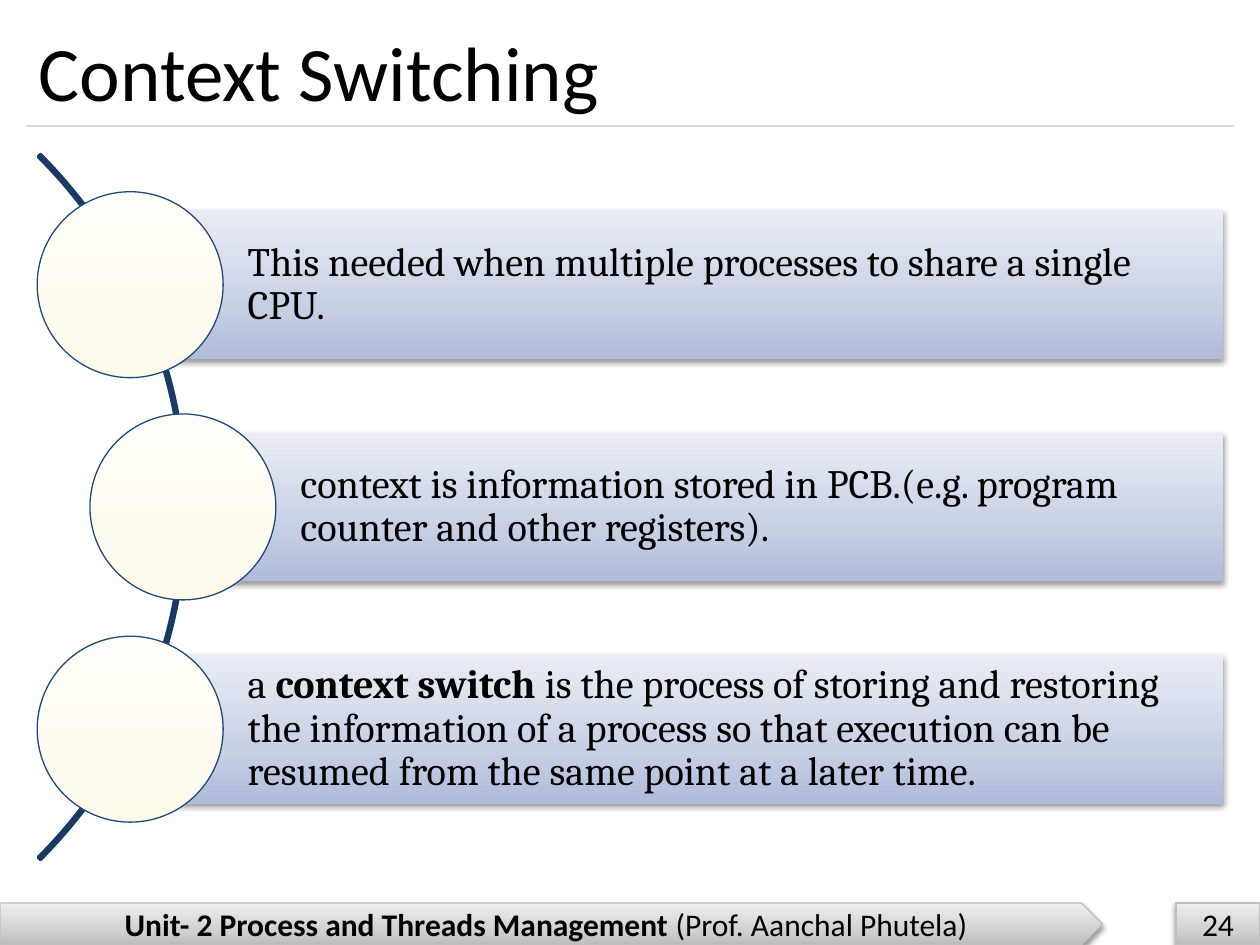
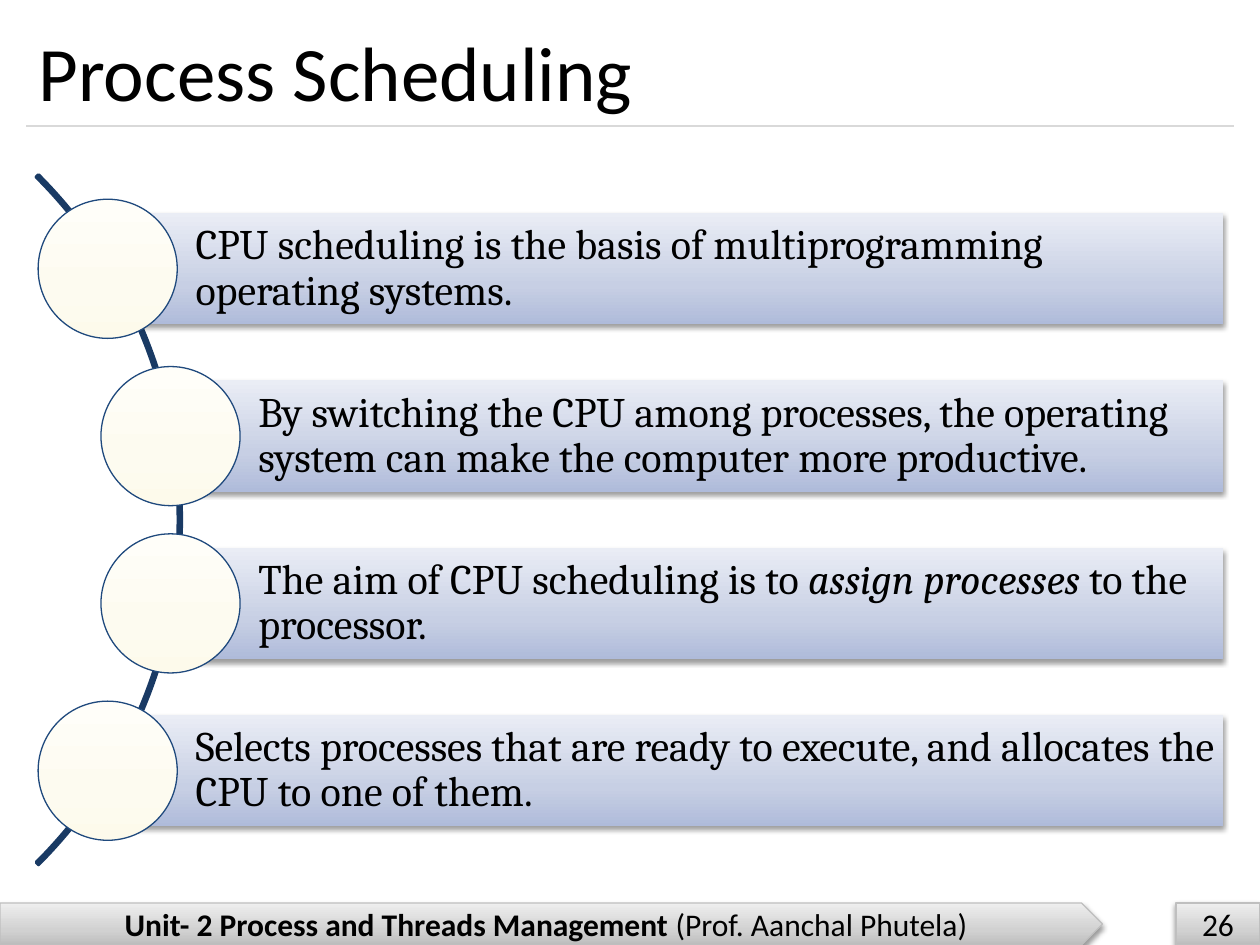
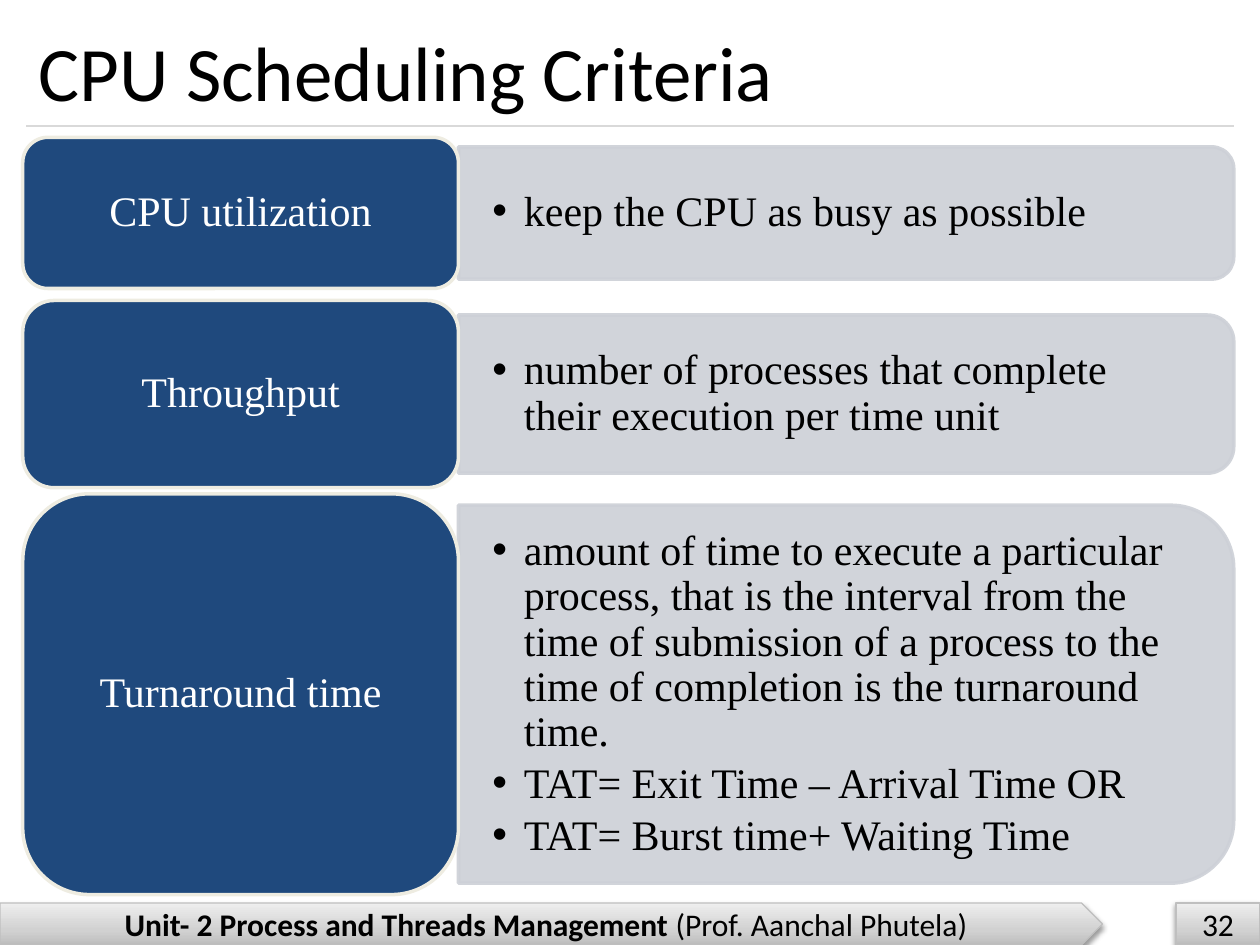
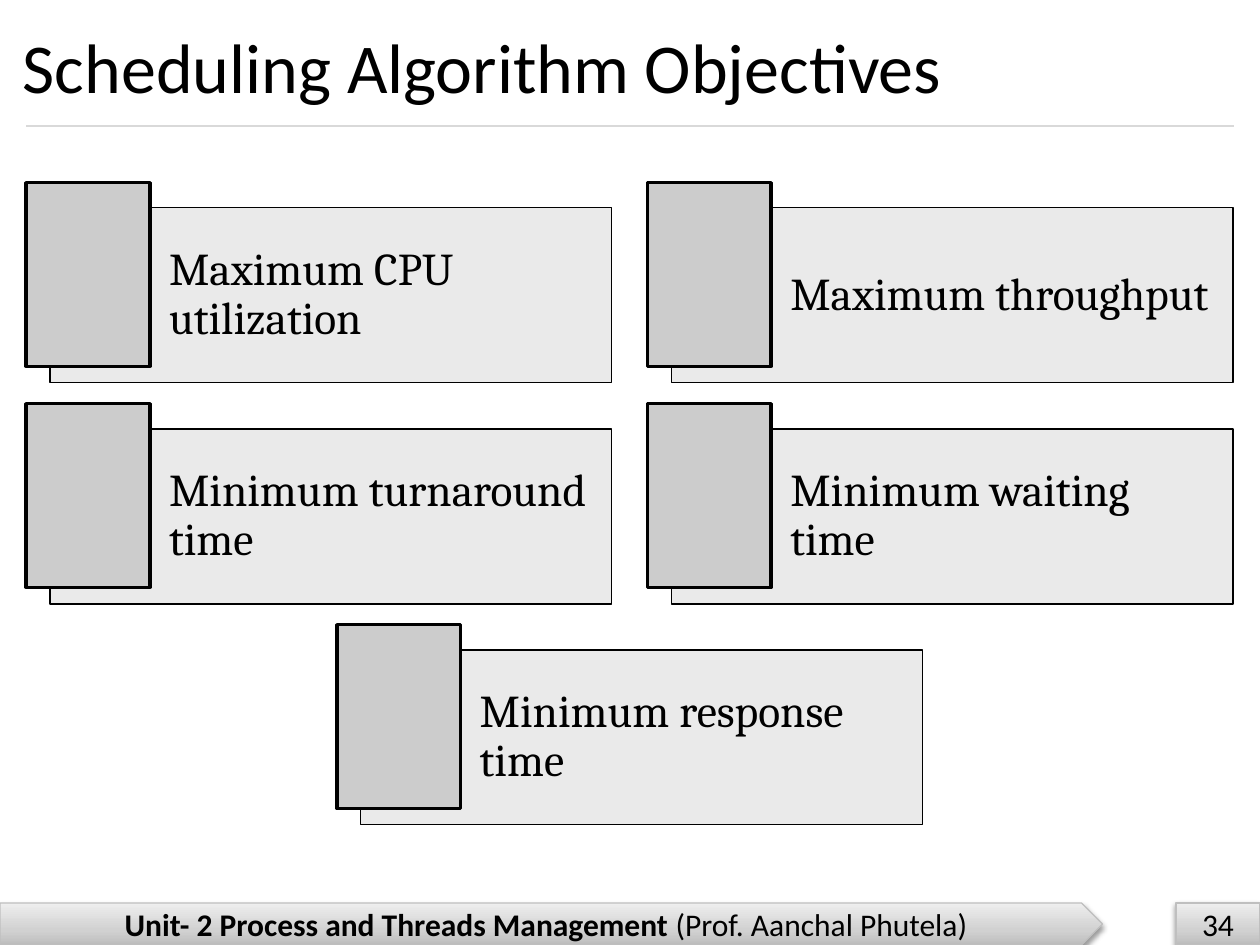
from copy import deepcopy
from dataclasses import dataclass
from math import sqrt

from lxml import etree
from pptx import Presentation
from pptx.dml.color import RGBColor
from pptx.enum.shapes import MSO_CONNECTOR, MSO_SHAPE
from pptx.enum.text import MSO_ANCHOR, PP_ALIGN
from pptx.oxml.ns import qn
from pptx.util import Pt

RECTANGLE = MSO_SHAPE.RECTANGLE
ROUNDED = MSO_SHAPE.ROUNDED_RECTANGLE
ROUNDED_TOP = MSO_SHAPE.ROUND_2_SAME_RECTANGLE
PENTAGON = MSO_SHAPE.PENTAGON
OVAL = MSO_SHAPE.OVAL
BLOCK_ARC = MSO_SHAPE.BLOCK_ARC
STRAIGHT = MSO_CONNECTOR.STRAIGHT
MIDDLE = MSO_ANCHOR.MIDDLE
LEFT = PP_ALIGN.LEFT
CENTER = PP_ALIGN.CENTER


@dataclass(frozen=True)
class Theme:
    black: str = "000000"
    white: str = "FFFFFF"
    navy: str = "1F497D"
    arc: str = "193A64"
    cream: str = "EEECE1"
    detail: str = "CDD0D7"
    gray: str = "CCCCCC"
    rule: str = "D9D9D9"
    footer_line: str = "BFBFBF"
    footer_fill: tuple = ("BDBDBD", "D1D1D1", "EEEEEE")
    bar_fill: tuple = ("AFBBDA", "C7CFE4", "EAEDF5")
    node_fill: tuple = ("FDFAEB", "FDFBF0", "FFFEF9")
    gradient_positions: tuple = (0, 0.35, 1)
    sans: str = "Calibri"
    serif: str = "Cambria"
    roman: str = "Times New Roman"
    title_size: int = 44
    long_title_size: int = 40
    footer_size: int = 18
    criteria_size: int = 24
    objective_size: int = 26
    thin: float = 0.75
    thick: float = 2


THEME = Theme()


@dataclass(frozen=True)
class Piece:
    text: str
    bold: bool = False
    italic: bool = False


@dataclass(frozen=True)
class ArcList:
    center_x: float
    center_y: float
    diameter: float
    pitch: float
    bar_height: float
    inset: float
    size: int


def color(value):
    return RGBColor.from_string(value)


def set_gradient(shape, colors):
    shape.fill.gradient()
    shape.fill.gradient_angle = 90
    stop_list = shape._element.spPr.find(qn("a:gradFill")).find(qn("a:gsLst"))
    stop_list.append(deepcopy(stop_list[0]))
    for stop, value, position in zip(shape.fill.gradient_stops, colors, THEME.gradient_positions):
        stop.color.rgb = color(value)
        stop.position = position


def set_alpha(part, percent):
    for element in part.iter(qn("a:srgbClr")):
        etree.SubElement(element, qn("a:alpha"), val=str(percent * 1000))


def add_shadow(shape):
    effects = shape._element.spPr.find(qn("a:effectLst"))
    shadow = etree.SubElement(effects, qn("a:outerShdw"), blurRad=str(Pt(3.1)),
                              dist=str(Pt(1.6)), dir="5400000", rotWithShape="0")
    black = etree.SubElement(shadow, qn("a:srgbClr"), val=THEME.black)
    etree.SubElement(black, qn("a:alpha"), val="38000")


def add_box(slide, kind, left, top, width, height, fill=None, line=None, line_width=THEME.thin):
    shape = slide.shapes.add_shape(kind, Pt(left), Pt(top), Pt(width), Pt(height))
    shape.shadow.inherit = False
    if fill is None:
        shape.fill.background()
    elif isinstance(fill, tuple):
        set_gradient(shape, fill)
    else:
        shape.fill.solid()
        shape.fill.fore_color.rgb = color(fill)
    if line is None:
        shape.line.fill.background()
    else:
        shape.line.color.rgb = color(line)
        shape.line.width = Pt(line_width)
    return shape


def add_text_area(slide, left, top, width, height):
    return slide.shapes.add_textbox(Pt(left), Pt(top), Pt(width), Pt(height))


def set_margins(shape, left, top, right, bottom):
    frame = shape.text_frame
    frame.margin_left, frame.margin_top = Pt(left), Pt(top)
    frame.margin_right, frame.margin_bottom = Pt(right), Pt(bottom)


def add_bullet(paragraph, indent=18):
    properties = paragraph._p.get_or_add_pPr()
    properties.set("marL", str(Pt(indent)))
    properties.set("indent", str(-Pt(indent)))
    etree.SubElement(properties, qn("a:buFont"), typeface="Arial")
    etree.SubElement(properties, qn("a:buChar"), char="•")


def write(shape, content, font, size, text_color=THEME.black, align=LEFT, spacing=None):
    frame = shape.text_frame
    frame.word_wrap = True
    frame.vertical_anchor = MIDDLE
    if isinstance(content, str):
        frame.text = content
    else:
        for piece in content:
            run = frame.paragraphs[0].add_run()
            run.text = piece.text
            run.font.bold = piece.bold
            run.font.italic = piece.italic
    for paragraph in frame.paragraphs:
        paragraph.alignment = align
        if spacing:
            paragraph.line_spacing = spacing
        for run in paragraph.runs:
            run.font.name = font
            run.font.size = Pt(size)
            run.font.color.rgb = color(text_color)


def add_footer_box(slide, kind, left, width, content):
    box = add_box(slide, kind, left, 516, width, 24, THEME.footer_fill, THEME.footer_line)
    add_shadow(box)
    write(box, content, THEME.sans, THEME.footer_size, align=CENTER)


def add_page(presentation, title, number, title_size=THEME.title_size, title_at=(15, 9)):
    slide = presentation.slides.add_slide(presentation.slide_layouts[6])
    add_footer_box(slide, PENTAGON, 0, 630, [
        Piece("Unit- 2 Process and Threads Management ", bold=True),
        Piece("(Prof. Aanchal Phutela)"),
    ])
    add_footer_box(slide, RECTANGLE, 672, 48, str(number))
    rule = slide.shapes.add_connector(STRAIGHT, Pt(15), Pt(72), Pt(705), Pt(72))
    rule.line.color.rgb = color(THEME.rule)
    rule.line.width = Pt(THEME.thin)
    etree.SubElement(rule._element.spPr, qn("a:effectLst"))
    write(add_text_area(slide, *title_at, 690, 63), title, THEME.sans, title_size)
    return slide


def add_arc_list(slide, design, items, right=699, band=1.7):
    radius = design.diameter / 2
    arc = add_box(slide, BLOCK_ARC, design.center_x - radius, design.center_y - radius,
                  design.diameter, design.diameter, line=THEME.arc, line_width=THEME.thick)
    for index, value in enumerate((189, 27, band / design.diameter)):
        arc.adjustments[index] = value
    height = design.bar_height
    node = height * 1.25
    for index, content in enumerate(items):
        offset = (index - (len(items) - 1) / 2) * design.pitch
        x = design.center_x + sqrt((radius - 2) ** 2 - offset ** 2)
        y = design.center_y + offset
        bar = add_box(slide, RECTANGLE, x, y - height / 2, right - x, height, THEME.bar_fill)
        add_shadow(bar)
        set_margins(bar, height * 0.79, design.inset, design.inset, design.inset)
        write(bar, content, THEME.serif, design.size, spacing=0.9)
        add_box(slide, OVAL, x - node / 2, y - node / 2, node, node, THEME.node_fill, THEME.navy)


def add_criterion(slide, label, details, top, height, detail_height):
    left, label_width, detail_width = 13, 249, 443
    middle = top + height / 2
    detail_left = left + label_width
    detail = add_box(slide, ROUNDED_TOP, detail_left + (detail_width - detail_height) / 2,
                     middle - detail_width / 2, detail_height, detail_width,
                     THEME.detail, THEME.detail, THEME.thick)
    detail.rotation = 90
    set_alpha(detail._element.spPr, 90)
    text_height = detail_height * 0.9
    area = add_text_area(slide, detail_left, middle - text_height / 2,
                         detail_width - detail_height * 0.05, text_height)
    set_margins(area, 19.4, 10, 19.4, 10)
    area.text_frame.text = "\n".join(details)
    for index, paragraph in enumerate(area.text_frame.paragraphs):
        add_bullet(paragraph)
        if index < len(details) - 1:
            paragraph.space_after = Pt(3.6)
    write(area, (), THEME.roman, THEME.criteria_size, spacing=0.9)
    label_box = add_box(slide, ROUNDED, left, top, label_width, height,
                        THEME.navy, THEME.cream, THEME.thick)
    write(label_box, label, THEME.roman, THEME.criteria_size, THEME.white, CENTER, 0.9)


def add_objective(slide, text, left, top):
    panel = add_box(slide, RECTANGLE, left + 13.6, top + 14.4, 321, 100, THEME.gray, THEME.black)
    set_alpha(panel._element.spPr.find(qn("a:solidFill")), 40)
    set_margins(panel, 68, 8, 8, 8)
    write(panel, text, THEME.serif, THEME.objective_size, spacing=0.9)
    add_box(slide, RECTANGLE, left, top, 70.6, 105, THEME.gray, THEME.black, THEME.thick)


def add_objective_grid(slide, objectives, columns=2, left=15, top=104.4, across=355, down=126.3):
    for index, text in enumerate(objectives):
        row, column = divmod(index, columns)
        in_row = min(columns, len(objectives) - row * columns)
        shift = (columns - in_row) * across / 2
        add_objective(slide, text, left + shift + column * across, top + row * down)


def build_context_switching(presentation):
    slide = add_page(presentation, "Context Switching", 24)
    add_arc_list(slide, ArcList(-178.2, 289.7, 569.5, 127, 85, 4.4, 23), [
        "This needed when multiple processes to share a single CPU.",
        "context is information stored in PCB.(e.g. program counter and other registers).",
        [Piece("a "), Piece("context switch", bold=True),
         Piece(" is the process of storing and restoring the information of a process so that "
               "execution can be resumed from the same point at a later time.")],
    ])


def build_process_scheduling(presentation):
    slide = add_page(presentation, "Process Scheduling", 26)
    add_arc_list(slide, ArcList(-175, 297, 557.2, 95.6, 63.6, 5, 24), [
        "CPU scheduling is the basis of multiprogramming operating systems.",
        "By switching the CPU among processes, the operating system can make the computer "
        "more productive.",
        [Piece("The aim of CPU scheduling is to "), Piece("assign processes ", italic=True),
         Piece("to the processor.")],
        "Selects processes that are ready to execute, and allocates the CPU to one of them.",
    ])


def build_scheduling_criteria(presentation):
    slide = add_page(presentation, "CPU Scheduling Criteria", 32)
    add_criterion(slide, "CPU utilization", ["keep the CPU as busy as possible"], 78.5, 86.4, 75.6)
    add_criterion(slide, "Throughput",
                  ["number of processes that complete their execution per time unit"],
                  171.7, 107, 90.4)
    add_criterion(slide, "Turnaround time", [
        "amount of time to execute a particular process, that is the interval from the time of "
        "submission of a process to the time of completion is the turnaround time.",
        "TAT= Exit Time – Arrival Time OR",
        "TAT= Burst time+ Waiting Time",
    ], 282.2, 229, 216)


def build_objectives(presentation):
    slide = add_page(presentation, "Scheduling Algorithm Objectives", 34,
                     THEME.long_title_size, (6, 6))
    add_objective_grid(slide, [
        "Maximum CPU utilization",
        "Maximum throughput",
        "Minimum turnaround time",
        "Minimum waiting time",
        "Minimum response time",
    ])


def main():
    presentation = Presentation()
    presentation.slide_width = Pt(720)
    presentation.slide_height = Pt(540)
    build_context_switching(presentation)
    build_process_scheduling(presentation)
    build_scheduling_criteria(presentation)
    build_objectives(presentation)
    presentation.save("out.pptx")


if __name__ == "__main__":
    main()
